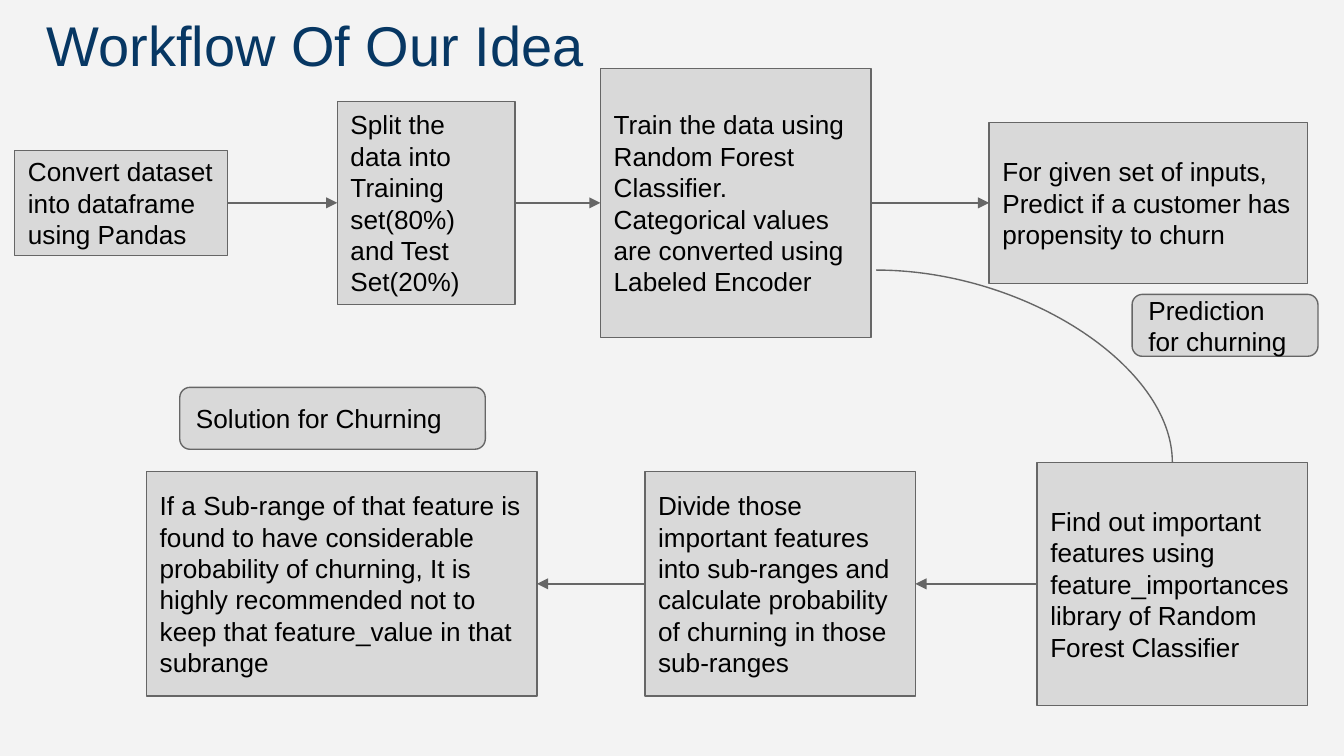
from dataclasses import dataclass

from lxml import etree
from pptx import Presentation
from pptx.dml.color import RGBColor
from pptx.enum import shapes, text
from pptx.oxml import ns
from pptx.util import Pt

COLORS = {
    "background": "F3F3F3",
    "title": "073763",
    "box": "D9D9D9",
    "outline": "666666",
    "ink": "000000",
}
FONT = "Arial"
INSET = 7.2
LINE_WIDTH = 0.75
PREDICTION_ROW = 108.7
SOLUTION_ROW = 312.8


@dataclass(frozen=True)
class Box:
    wording: str
    left: float
    middle: float
    width: float
    height: float
    rounded: bool = False


CONVERT = Box("Convert dataset into dataframe using Pandas", 7.9, PREDICTION_ROW, 113.9, 56.2)
SPLIT = Box("Split the data into Training set(80%) and Test Set(20%)", 180.7, PREDICTION_ROW, 95.2, 108.6)
TRAIN = Box(
    "Train the data using Random Forest Classifier. Categorical values are converted using Labeled Encoder",
    321.7, PREDICTION_ROW, 144.9, 144)
PREDICT = Box(
    "For given set of inputs, Predict if a customer has propensity to churn",
    529.9, PREDICTION_ROW, 170.6, 86.2)
FIND = Box(
    "Find out important features using feature_importances library of Random Forest Classifier",
    555.6, SOLUTION_ROW, 144.9, 130.2)
DIVIDE = Box(
    "Divide those important features into sub-ranges and calculate probability of churning in those sub-ranges",
    345.5, SOLUTION_ROW, 144.9, 120.2)
RECOMMEND = Box(
    "If a Sub-range of that feature is found to have considerable probability of churning, "
    "It is highly recommended not to keep that feature_value in that subrange",
    78.5, SOLUTION_ROW, 209.2, 120.2)
SOLUTION_LABEL = Box("Solution for Churning", 96.3, 224.1, 163.7, 33.2, True)
PREDICTION_LABEL = Box("Prediction for churning", 606.5, 174.3, 99.6, 33.2, True)

PREDICTION_STEPS = (CONVERT, SPLIT, TRAIN, PREDICT)
SOLUTION_STEPS = (FIND, DIVIDE, RECOMMEND)
LABELS = (SOLUTION_LABEL, PREDICTION_LABEL)


def color(name: str) -> RGBColor:
    return RGBColor.from_string(COLORS[name])


def write(holder, wording: str, size: float, ink: str) -> None:
    frame = holder.text_frame
    frame.word_wrap = True
    frame.vertical_anchor = text.MSO_ANCHOR.MIDDLE
    frame.margin_left = frame.margin_right = Pt(INSET)
    frame.margin_top = frame.margin_bottom = Pt(INSET)
    paragraph = frame.paragraphs[0]
    paragraph.alignment = text.PP_ALIGN.LEFT
    run = paragraph.add_run()
    run.text = wording
    run.font.name = FONT
    run.font.size = Pt(size)
    run.font.color.rgb = color(ink)


def draw_box(slide, box: Box):
    kind = shapes.MSO_SHAPE.ROUNDED_RECTANGLE if box.rounded else shapes.MSO_SHAPE.RECTANGLE
    drawn = slide.shapes.add_shape(
        kind, Pt(box.left), Pt(box.middle - box.height / 2), Pt(box.width), Pt(box.height))
    drawn.shadow.inherit = False
    drawn.fill.solid()
    drawn.fill.fore_color.rgb = color("box")
    drawn.line.color.rgb = color("outline")
    drawn.line.width = Pt(LINE_WIDTH)
    write(drawn, box.wording, 14, "ink")
    return drawn


def draw_link(slide, kind, start_x: float = 0, start_y: float = 0):
    link = slide.shapes.add_connector(kind, Pt(start_x), Pt(start_y), Pt(start_x), Pt(start_y))
    link.line.color.rgb = color("outline")
    link.line.width = Pt(LINE_WIDTH)
    etree.SubElement(link._element.spPr, ns.qn("a:effectLst"))
    return link


def draw_arrow(slide, source, target, source_side: int, target_side: int) -> None:
    arrow = draw_link(slide, shapes.MSO_CONNECTOR.STRAIGHT)
    arrow.begin_connect(source, source_side)
    arrow.end_connect(target, target_side)
    etree.SubElement(arrow.line._get_or_add_ln(), ns.qn("a:tailEnd"), type="triangle")


def draw_steps(slide, steps: tuple[Box, ...], source_side: int, target_side: int) -> list:
    drawn = [draw_box(slide, step) for step in steps]
    for source, target in zip(drawn, drawn[1:]):
        draw_arrow(slide, source, target, source_side, target_side)
    return drawn


def draw_curve(slide, start_x: float, start_y: float, target) -> None:
    curve = draw_link(slide, shapes.MSO_CONNECTOR.CURVE, start_x, start_y)
    curve.end_connect(target, 0)
    curve._element.spPr.find(ns.qn("a:prstGeom")).set("prst", "curvedConnector2")


def main() -> None:
    deck = Presentation()
    deck.slide_width, deck.slide_height = Pt(720), Pt(405)
    slide = deck.slides.add_slide(deck.slide_layouts[6])
    slide.background.fill.solid()
    slide.background.fill.fore_color.rgb = color("background")

    title = slide.shapes.add_textbox(Pt(18), Pt(0), Pt(658.8), Pt(47.5))
    write(title, "Workflow Of Our Idea", 30, "title")

    draw_steps(slide, PREDICTION_STEPS, 3, 1)
    find, *_ = draw_steps(slide, SOLUTION_STEPS, 1, 3)
    draw_curve(slide, 469.4, 144.7, find)
    for label in LABELS:
        draw_box(slide, label)

    deck.save("out.pptx")


if __name__ == "__main__":
    main()
